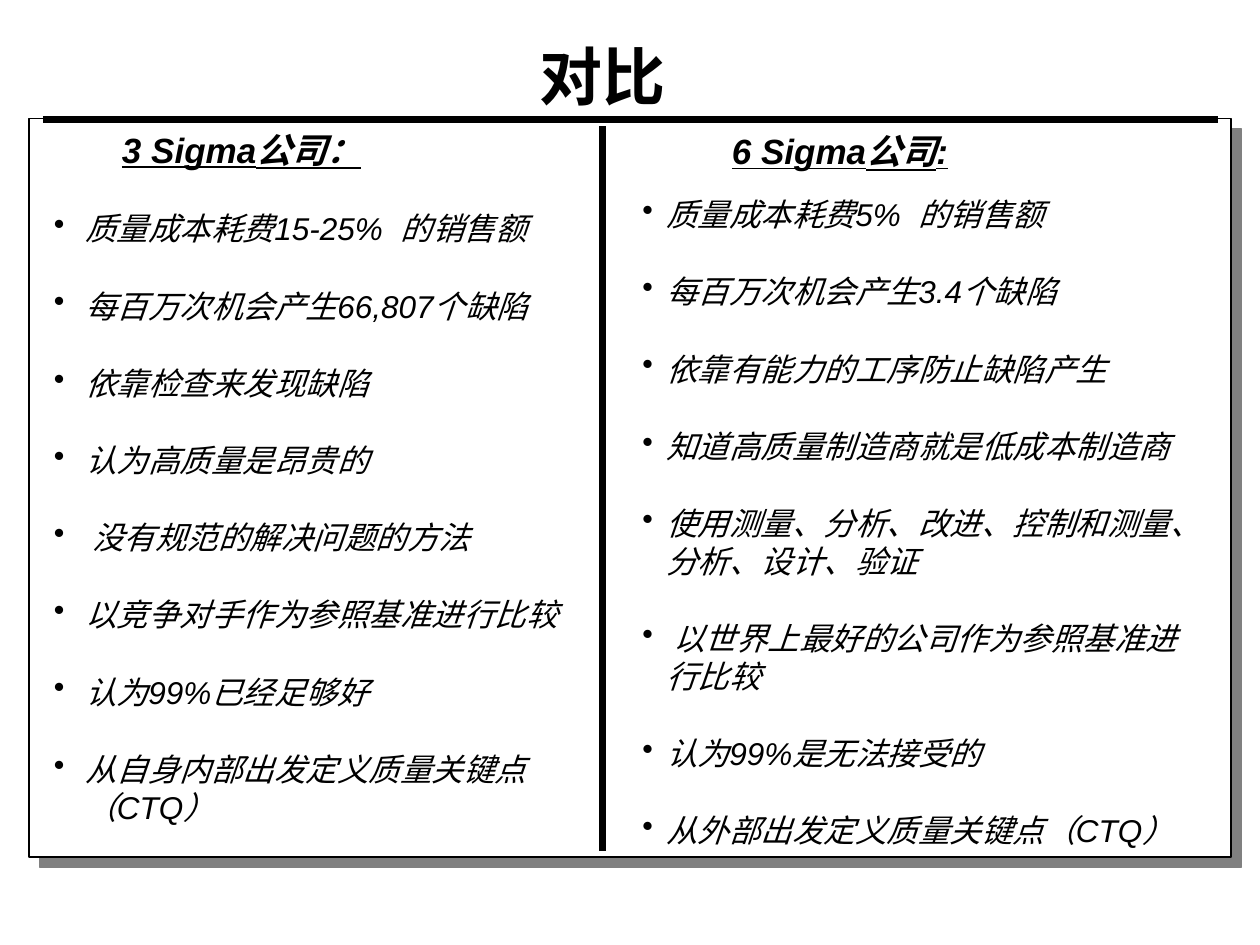
from lxml import etree
from pptx import Presentation
from pptx.dml.color import RGBColor
from pptx.enum.shapes import MSO_CONNECTOR, MSO_SHAPE
from pptx.enum.text import MSO_AUTO_SIZE, PP_ALIGN
from pptx.oxml.ns import qn
from pptx.util import Inches, Pt

RECTANGLE = MSO_SHAPE.RECTANGLE
STRAIGHT = MSO_CONNECTOR.STRAIGHT
GROW = MSO_AUTO_SIZE.SHAPE_TO_FIT_TEXT
CENTER = PP_ALIGN.CENTER
LEFT = PP_ALIGN.LEFT

COLORS = {"ink": "000000", "paper": "FFFFFF", "shadow": "808080"}
FONT = "Arial"

THREE_SIGMA = [
    "质量成本耗费15-25%  的销售额",
    "每百万次机会产生66,807个缺陷",
    "依靠检查来发现缺陷",
    "认为高质量是昂贵的",
    " 没有规范的解决问题的方法",
    "以竞争对手作为参照基准进行比较",
    "认为99%已经足够好",
    "从自身内部出发定义质量关键点（CTQ）",
]
SIX_SIGMA = [
    "质量成本耗费5%  的销售额",
    "每百万次机会产生3.4个缺陷",
    "依靠有能力的工序防止缺陷产生",
    "知道高质量制造商就是低成本制造商",
    "使用测量、分析、改进、控制和测量、分析、设计、验证",
    " 以世界上最好的公司作为参照基准进行比较",
    "认为99%是无法接受的",
    "从外部出发定义质量关键点（CTQ）",
]


def color(name):
    return RGBColor.from_string(COLORS[name])


def add_text_box(page, left, top, width, height):
    box = page.shapes.add_textbox(Inches(left), Inches(top), Inches(width), Inches(height))
    box.text_frame.word_wrap = True
    box.text_frame.auto_size = GROW
    return box.text_frame


def write(frame, text, size=18, bold=False, italic=False, underline=False,
          align=LEFT, margin=0, hanging=0, bullet=False, before=0, line_spacing=1.0):
    first = frame.paragraphs[0]
    para = frame.add_paragraph() if first.runs else first
    para.alignment = align
    para.space_before = Pt(before)
    para.line_spacing = line_spacing
    properties = para._p.get_or_add_pPr()
    properties.set("marL", str(Inches(margin)))
    properties.set("indent", str(-Inches(hanging)))
    if bullet:
        tint = etree.SubElement(properties, qn("a:buClr"))
        etree.SubElement(tint, qn("a:srgbClr"), val=COLORS["ink"])
        etree.SubElement(properties, qn("a:buChar"), char="•")
    span = para.add_run()
    span.text = text
    span.font.name = FONT
    span.font.size = Pt(size)
    span.font.bold = bold
    span.font.italic = italic
    span.font.underline = underline
    span.font.color.rgb = color("ink")


def add_heading(frame, text, margin, line_spacing=1.0):
    write(frame, text, size=20, bold=True, italic=True, underline=True,
          margin=margin, line_spacing=line_spacing)


def add_bullets(frame, items, hanging):
    for item in items:
        before = 22.5 if frame.paragraphs[0].runs else 0
        write(frame, item, italic=True, margin=hanging, hanging=hanging,
              bullet=True, before=before)


def add_panel(page, left, top, width, height):
    panel = page.shapes.add_shape(
        RECTANGLE, Inches(left), Inches(top), Inches(width), Inches(height))
    panel.fill.solid()
    panel.fill.fore_color.rgb = color("paper")
    panel.line.color.rgb = color("ink")
    panel.line.width = Pt(1)
    panel.shadow.inherit = False
    effects = panel._element.spPr.find(qn("a:effectLst"))
    shadow = etree.SubElement(effects, qn("a:outerShdw"), blurRad="0",
                              dist=str(Pt(8.5)), dir=str(45 * 60000),
                              algn="ctr", rotWithShape="0")
    etree.SubElement(shadow, qn("a:srgbClr"), val=COLORS["shadow"])


def add_rule(page, start_x, start_y, end_x, end_y):
    rule = page.shapes.add_connector(
        STRAIGHT, Inches(start_x), Inches(start_y), Inches(end_x), Inches(end_y))
    rule.line.color.rgb = color("ink")
    rule.line.width = Pt(4)
    etree.SubElement(rule._element.spPr, qn("a:effectLst"))


def add_title(page, left, top, width, height):
    frame = add_text_box(page, left, top, width, height)
    write(frame, "对比", size=36, bold=True, align=CENTER)


def add_three_sigma(page, left, top, width, height):
    frame = add_text_box(page, left, top, width, height)
    add_heading(frame, "3 Sigma公司：", margin=0.54, line_spacing=1.05)
    add_bullets(frame, THREE_SIGMA, hanging=0.25)


def add_six_sigma(page, left, top, width, height):
    heading_height, list_offset = 0.44, 0.52
    heading = add_text_box(page, left + 0.25, top, width - 0.24, heading_height)
    add_heading(heading, "6 Sigma公司:", margin=0.46)
    body = add_text_box(page, left, top + list_offset, width, height - list_offset)
    add_bullets(body, SIX_SIGMA, hanging=0.19)


def main():
    deck = Presentation()
    deck.slide_width, deck.slide_height = Inches(10), Inches(7.5)
    page = deck.slides.add_slide(deck.slide_layouts[6])
    add_panel(page, 0.23, 0.94, 9.54, 5.86)
    add_three_sigma(page, 0.33, 0.95, 4.44, 5.65)
    add_six_sigma(page, 5, 0.98, 4.55, 5.81)
    add_rule(page, 0.34, 0.95, 9.67, 0.95)
    add_rule(page, 4.78, 1, 4.78, 6.75)
    add_title(page, 1.5, 0.25, 6.57, 0.7)
    deck.save("out.pptx")


if __name__ == "__main__":
    main()
